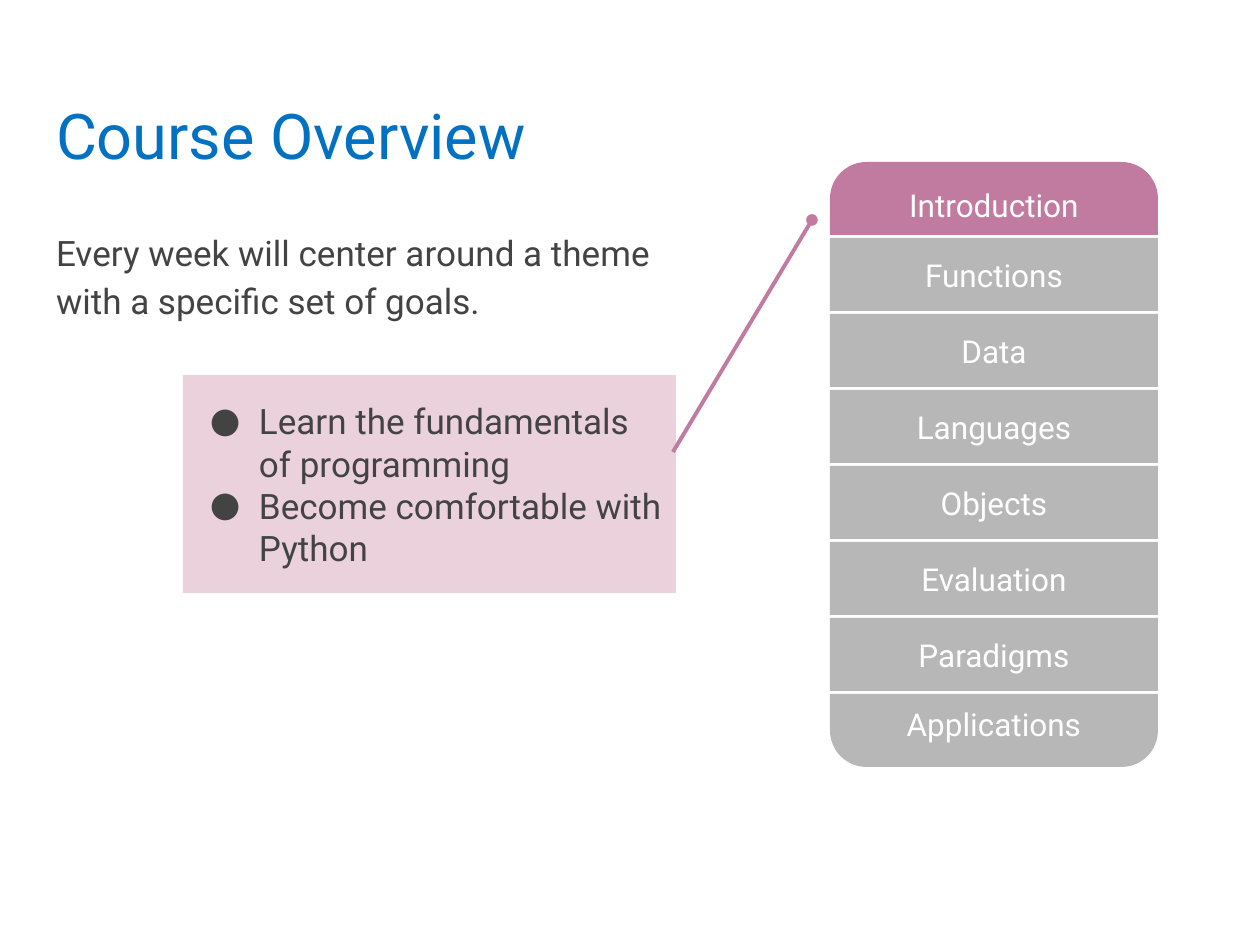
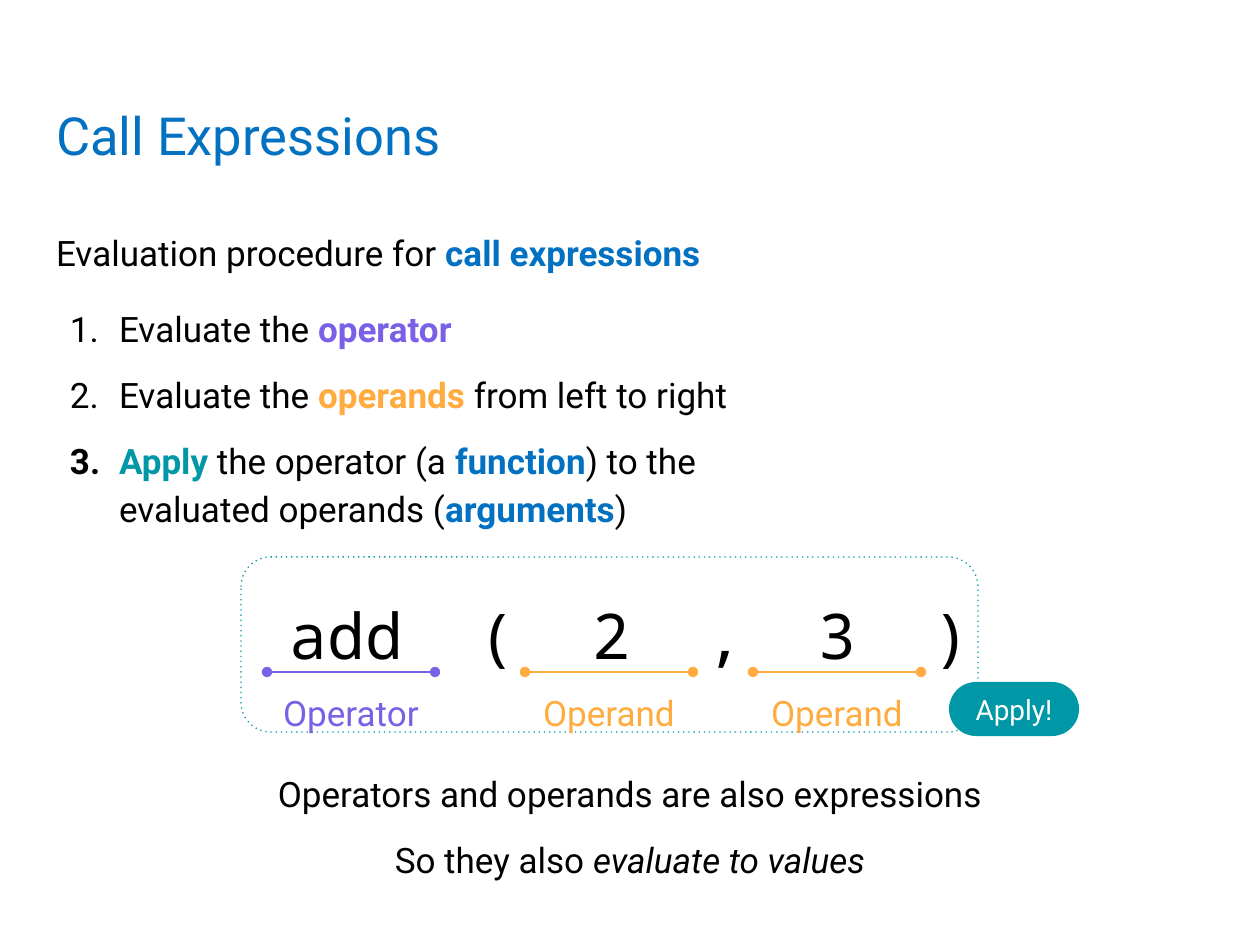
"""Builds two course slides: the weekly overview and call expressions."""
import pptx
import pptx.util
from pptx.dml.color import RGBColor
from pptx.enum.dml import MSO_LINE
from pptx.enum.shapes import MSO_CONNECTOR, MSO_SHAPE
from pptx.enum.text import MSO_ANCHOR, MSO_AUTO_SIZE, PP_ALIGN
from pptx.oxml.ns import qn
from lxml import etree

PX_PER_INCH = 126
COLORS = {
    "title": "0371C1", "text": "434343", "black": "000000", "white": "FFFFFF",
    "week": "C27BA0", "goals": "EAD1DC", "later": "B7B7B7",
    "operator": "7A5FE7", "operand": "FFAB40", "apply": "0097A7",
}
INSET, LIST_INDENT, LIST_HANG = 13, 63, 49
TITLE_BOX = (43, 82, 1174, 105)
MODULES = ["Introduction", "Functions", "Data", "Languages", "Objects",
           "Evaluation", "Paradigms", "Applications"]
MODULE_LEFT, MODULE_TOP, MODULE_STEP = 830, 162, 76
MODULE_WIDTH, MODULE_HEIGHT = 328, 73


def px(length):
    """Turn px into EMU."""
    return pptx.util.Emu(round(length * 914400 / PX_PER_INCH))


def rgb(color):
    """Look up a named colour."""
    return RGBColor.from_string(COLORS[color])


def font(color, size=20, name="Roboto"):
    """Describe a base font."""
    return {"color": color, "size": pptx.util.Pt(size), "name": name}


def strong(text, color):
    """Describe a bold coloured run."""
    return text, {"bold": True, "color": color}


def line(*runs, bullet=None, before=0, after=0, spacing=1.15, align=PP_ALIGN.LEFT):
    """Describe a paragraph from its runs and its format."""
    return runs, bullet, {
        "alignment": align, "line_spacing": spacing,
        "space_before": pptx.util.Pt(before), "space_after": pptx.util.Pt(after)}


def centered(*runs, spacing=1.15, before=0, after=0):
    """Describe a centred paragraph."""
    return line(*runs, spacing=spacing, before=before, after=after,
                align=PP_ALIGN.CENTER)


def set_bullet(paragraph, bullet, color):
    """Give a paragraph a bullet, a number or neither."""
    properties = paragraph._p.get_or_add_pPr()
    properties.set("marL", str(px(LIST_INDENT) if bullet else 0))
    properties.set("indent", str(-px(LIST_HANG) if bullet else 0))
    if not bullet:
        etree.SubElement(properties, qn("a:buNone"))
        return
    tint = etree.SubElement(properties, qn("a:buClr"))
    etree.SubElement(tint, qn("a:srgbClr"), val=COLORS[color])
    etree.SubElement(properties, qn("a:buFont"), typeface="Roboto")
    if bullet == "number":
        etree.SubElement(properties, qn("a:buAutoNum"), type="arabicPeriod")
    else:
        etree.SubElement(properties, qn("a:buChar"), char=bullet)


def add_run(paragraph, text, look):
    """Add text in one look, with line breaks where it has them."""
    for index, part in enumerate(text.split("\n")):
        if index:
            paragraph.add_line_break()
        run = paragraph.add_run()
        run.text = part
        for key, value in look.items():
            if key == "color":
                run.font.color.rgb = rgb(value)
            elif key == "tracking":
                run._r.get_or_add_rPr().set("spc", str(value))
            else:
                setattr(run.font, key, value)


def write(holder, lines, base, anchor=MSO_ANCHOR.TOP):
    """Fill a shape with formatted paragraphs."""
    frame = holder.text_frame
    settings = {"word_wrap": True, "auto_size": MSO_AUTO_SIZE.NONE,
                "vertical_anchor": anchor}
    settings.update({f"margin_{side}": px(INSET)
                     for side in ("left", "top", "right", "bottom")})
    for key, value in settings.items():
        setattr(frame, key, value)
    for index, (runs, bullet, layout) in enumerate(lines):
        paragraph = frame.add_paragraph() if index else frame.paragraphs[0]
        set_bullet(paragraph, bullet, base["color"])
        for key, value in layout.items():
            setattr(paragraph, key, value)
        for run in runs:
            text, change = (run, {}) if isinstance(run, str) else run
            add_run(paragraph, text, {**base, **change})


def fill_placeholder(holder, box, lines, base, anchor=MSO_ANCHOR.TOP):
    """Move a placeholder and write its text."""
    for key, value in zip(("left", "top", "width", "height"), box):
        setattr(holder, key, px(value))
    write(holder, lines, base, anchor)


def add_title(slide, text, size):
    """Write the slide title."""
    fill_placeholder(slide.shapes.title, TITLE_BOX, [line(text, spacing=1.0)],
                     font("title", size), MSO_ANCHOR.MIDDLE)


def add_text(slide, box, lines, base, anchor=MSO_ANCHOR.TOP):
    """Add a text box."""
    write(slide.shapes.add_textbox(*map(px, box)), lines, base, anchor)


def add_block(slide, kind, box, fill=None, adjustments=()):
    """Add a preset shape without an outline."""
    block = slide.shapes.add_shape(kind, *map(px, box))
    block.shadow.inherit = False
    block.line.fill.background()
    if fill:
        block.fill.solid()
        block.fill.fore_color.rgb = rgb(fill)
    else:
        block.fill.background()
    for index, value in enumerate(adjustments):
        block.adjustments[index] = value
    return block


def add_link(slide, start, end, color, weight, ends):
    """Add a straight line with round ends."""
    link = slide.shapes.add_connector(
        MSO_CONNECTOR.STRAIGHT, *map(px, (*start, *end)))
    link.line.color.rgb = rgb(color)
    link.line.width = pptx.util.Pt(weight)
    properties = link.element.spPr
    for end_tag in ends:
        etree.SubElement(properties.find(qn("a:ln")), qn(end_tag), type="oval")
    etree.SubElement(properties, qn("a:effectLst"))


def add_module(slide, index, name):
    """Add one week of the module column, rounded at the column's ends."""
    kind, corners, anchor = MSO_SHAPE.RECTANGLE, (), MSO_ANCHOR.MIDDLE
    if index == 0:
        kind, corners, anchor = MSO_SHAPE.ROUND_2_SAME_RECTANGLE, (0.5, 0), MSO_ANCHOR.TOP
    elif index == len(MODULES) - 1:
        kind, corners, anchor = MSO_SHAPE.ROUND_2_SAME_RECTANGLE, (0, 0.5), MSO_ANCHOR.BOTTOM
    box = (MODULE_LEFT, MODULE_TOP + index * MODULE_STEP, MODULE_WIDTH, MODULE_HEIGHT)
    module = add_block(slide, kind, box, "later" if index else "week", corners)
    write(module, [centered(name, spacing=1.0)], font("white", 18), anchor)


def add_part(slide, left, name, color):
    """Underline and label one part of the call expression."""
    add_text(slide, (left, 672, 176, 54), [centered(name, after=10)], font(color))
    add_link(slide, (left + 4, 672), (left + 172, 672), color, 0.75,
             ("a:headEnd", "a:tailEnd"))


def build_overview(deck):
    """Build the course overview slide."""
    slide = deck.slides.add_slide(deck.slide_layouts.get_by_name("Two Content"))
    add_title(slide, "Course Overview", 36)
    intro, goals = slide.placeholders[1], slide.placeholders[2]
    fill_placeholder(intro, (43, 212, 645, 125), [
        line("Every week will center around a theme\nwith a specific set of goals.",
             after=16)], font("text"))
    fill_placeholder(goals, (183, 375, 493, 218), [
        line(goal, bullet="●", spacing=1.0)
        for goal in ("Learn the fundamentals of programming",
                     "Become comfortable with Python")],
        font("text"), MSO_ANCHOR.MIDDLE)
    goals.fill.solid()
    goals.fill.fore_color.rgb = rgb("goals")
    add_link(slide, (673, 452), (812, 220), "week", 2.25, ("a:tailEnd",))
    for index, name in enumerate(MODULES):
        add_module(slide, index, name)


def build_call_expressions(deck):
    """Build the call expressions slide."""
    slide = deck.slides.add_slide(deck.slide_layouts.get_by_name("Title and Content"))
    add_title(slide, "Call Expressions", 30)
    fill_placeholder(slide.placeholders[1], (43, 212, 1174, 627), [
        line("Evaluation procedure for ", strong("call expressions", "title")),
        line("Evaluate the ", strong("operator", "operator"),
             bullet="number", before=16),
        line("Evaluate the ", strong("operands", "operand"), " from left to right",
             bullet="number", before=10),
        line(strong("Apply", "apply"), " the operator (a ",
             strong("function", "title"), ") to the\nevaluated operands (",
             strong("arguments", "title"), ")",
             bullet="number", before=10, after=10)], font("black"))

    frame = add_block(slide, MSO_SHAPE.ROUNDED_RECTANGLE, (241, 557, 737, 175),
                      adjustments=(0.17,))
    frame.line.color.rgb = rgb("apply")
    frame.line.width = pptx.util.Pt(0.75)
    frame.line.dash_style = MSO_LINE.ROUND_DOT
    frame.element.spPr.find(qn("a:ln")).find(qn("a:prstDash")).set("val", "dot")

    wide_space = (" ", {"tracking": 2160})
    tokens = ["add"]
    for token in "(2,3)":
        tokens += [wide_space, token]
    add_text(slide, (68, 572, 1124, 112), [centered(*tokens, after=10)],
             font("black", 36, "Noto Sans Mono"))
    for left, name, color in ((263, "Operator", "operator"),
                              (521, "Operand", "operand"),
                              (749, "Operand", "operand")):
        add_part(slide, left, name, color)

    add_text(slide, (68, 722, 1124, 203), [
        centered("Operators and operands are also expressions"),
        centered("So they also ", ("evaluate to values", {"italic": True}),
                 before=10, after=10)], font("black"), MSO_ANCHOR.MIDDLE)
    badge = add_block(slide, MSO_SHAPE.ROUNDED_RECTANGLE, (949, 682, 130, 54),
                      "apply", (0.5,))
    write(badge, [centered("Apply!", spacing=1.0)], font("white", 16),
          MSO_ANCHOR.MIDDLE)


def main():
    """Build and save the deck."""
    deck = pptx.Presentation()
    deck.slide_width, deck.slide_height = px(1260), px(945)
    build_overview(deck)
    build_call_expressions(deck)
    deck.save("out.pptx")


if __name__ == "__main__":
    main()
